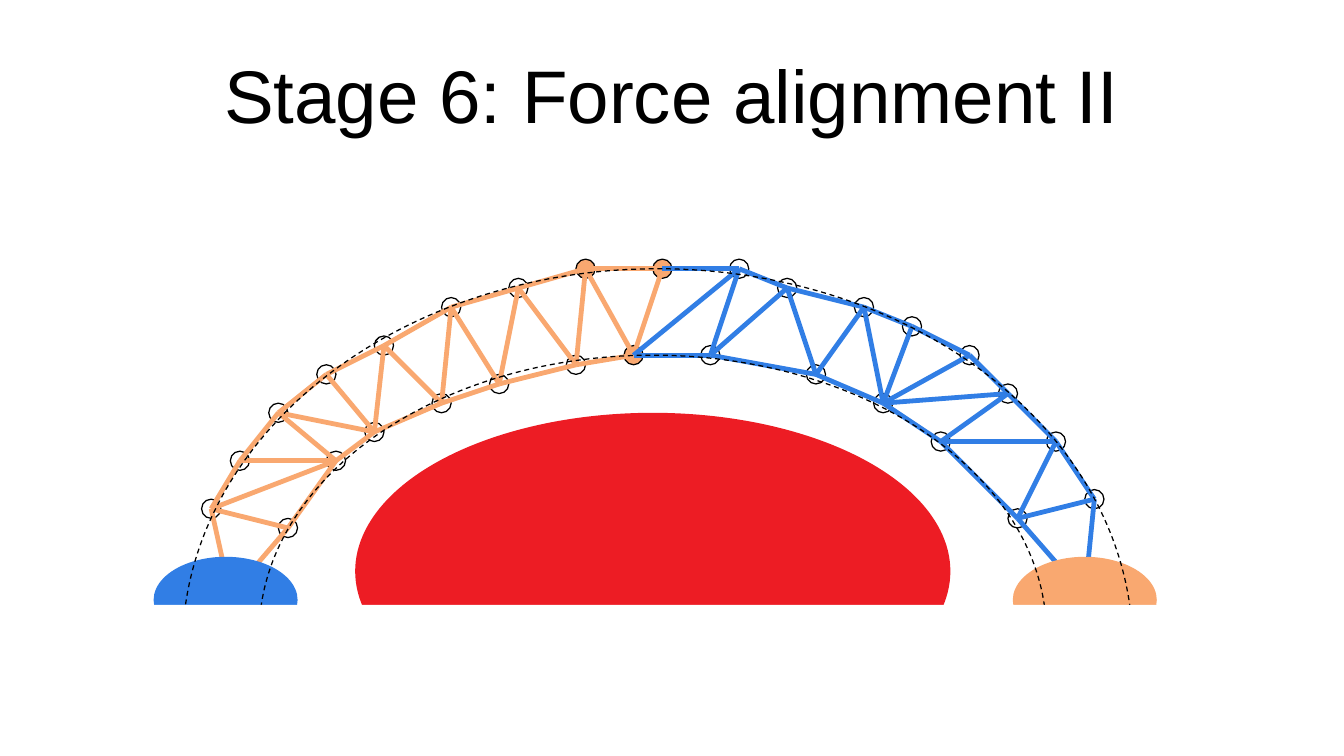
from dataclasses import dataclass
from itertools import pairwise
from typing import Optional

from pptx import Presentation
from pptx import util as u
from pptx.dml.color import RGBColor
from pptx.enum import dml, shapes, text
from pptx.oxml import ns, xmlchemy

BLACK = RGBColor(0x00, 0x00, 0x00)
WHITE = RGBColor(0xFF, 0xFF, 0xFF)
RED = RGBColor(0xED, 0x1C, 0x24)
ORANGE = RGBColor(0xF9, 0xA8, 0x70)
BLUE = RGBColor(0x31, 0x7E, 0xE5)

SLIDE_WIDTH = u.Inches(11.02)
SLIDE_HEIGHT = u.Inches(6.2)
COLUMNS = 140
ROWS = 78.75
JOINT_RADIUS = 1
BEAM_WIDTH = u.Pt(2.83)
HAIRLINE = u.Pt(0)

Point = tuple[float, float]


@dataclass(frozen=True)
class Area:
    left: float
    top: float
    width: float
    height: float

    def box(self) -> tuple[int, int, int, int]:
        return (column(self.left), row(self.top), column(self.width), row(self.height))


@dataclass(frozen=True)
class HalfBridge:
    color: RGBColor
    outer: list[Point]
    inner: list[Point]
    foot: Point
    web: list[Point]
    spurs: list[tuple[Point, Point]]


def column(count: float) -> int:
    return round(SLIDE_WIDTH * count / COLUMNS)


def row(count: float) -> int:
    return round(SLIDE_HEIGHT * count / ROWS)


def add_text(slide, area: Area, content: str, *, size: float, font: str = "Arial",
             color: RGBColor = BLACK, align=text.PP_ALIGN.CENTER) -> None:
    frame = slide.shapes.add_textbox(*area.box()).text_frame
    frame.word_wrap = True
    frame.vertical_anchor = text.MSO_ANCHOR.MIDDLE
    frame.margin_left = frame.margin_right = frame.margin_top = frame.margin_bottom = 0
    paragraph = frame.paragraphs[0]
    paragraph.alignment = align
    run = paragraph.add_run()
    run.text = content
    run.font.size = u.Pt(size)
    run.font.name = font
    run.font.color.rgb = color


def add_figure(slide, area: Area, fill: Optional[RGBColor] = None,
               outline: Optional[RGBColor] = None, dashed: bool = False,
               preset=shapes.MSO_SHAPE.OVAL) -> None:
    shape = slide.shapes.add_shape(preset, *area.box())
    shape.shadow.inherit = False
    if fill is None:
        shape.fill.background()
    else:
        shape.fill.solid()
        shape.fill.fore_color.rgb = fill
    if outline is None:
        shape.line.fill.background()
    else:
        shape.line.color.rgb = outline
        shape.line.width = HAIRLINE
    if dashed:
        shape.line.dash_style = dml.MSO_LINE.DASH


def add_joint(slide, center: Point, fill: RGBColor) -> None:
    x, y = center
    side = 2 * JOINT_RADIUS
    add_figure(slide, Area(x - JOINT_RADIUS, y - JOINT_RADIUS, side, side), fill, BLACK)


def add_beam(slide, start: Point, end: Point, color: RGBColor) -> None:
    connector = slide.shapes.add_connector(
        shapes.MSO_CONNECTOR.STRAIGHT,
        column(start[0]), row(start[1]), column(end[0]), row(end[1]))
    connector.line.color.rgb = color
    connector.line.width = BEAM_WIDTH
    properties = connector._element.spPr
    properties.append(xmlchemy.OxmlElement("a:effectLst"))


def add_half_bridge(slide, half: HalfBridge) -> None:
    chords = ([*half.outer, half.foot], [*half.inner, half.foot], half.web)
    beams = [beam for chord in chords for beam in pairwise(chord)]
    for start, end in beams + half.spurs:
        add_beam(slide, start, end, half.color)


LEFT_OUTER = [(69, 28), (61, 28), (54, 30), (47, 32), (40, 36),
              (34, 39), (29, 43), (25, 48), (22, 53)]
LEFT_INNER = [(66, 37), (60, 38), (52, 40), (46, 42), (39, 45), (35, 48), (30, 55)]
RIGHT_OUTER = [(77, 28), (82, 30), (90, 32), (95, 34), (101, 37),
               (105, 41), (110, 46), (114, 52)]
RIGHT_INNER = [(74, 37), (85, 39), (92, 42), (98, 46), (106, 54)]
CROWN_JOINTS = [LEFT_OUTER[0], LEFT_OUTER[1], LEFT_INNER[0]]


def zigzag(first: list[Point], second: list[Point]) -> list[Point]:
    woven = [point for pair in zip(first, second) for point in pair]
    return woven + first[len(second):]


def without(points: list[Point], *skipped: int) -> list[Point]:
    return [point for index, point in enumerate(points) if index not in skipped]


LEFT_HALF = HalfBridge(
    ORANGE, LEFT_OUTER, LEFT_INNER, (24, 62),
    zigzag(without(LEFT_OUTER, 5, 7), LEFT_INNER),
    [(LEFT_OUTER[5], LEFT_INNER[4]), (LEFT_OUTER[7], LEFT_INNER[5])])

RIGHT_HALF = HalfBridge(
    BLUE, [LEFT_OUTER[0], *RIGHT_OUTER], [LEFT_INNER[0], *RIGHT_INNER], (113, 62),
    zigzag([LEFT_INNER[0], *RIGHT_INNER], without(RIGHT_OUTER, 3, 4)),
    [(RIGHT_INNER[2], RIGHT_OUTER[3]), (RIGHT_INNER[2], RIGHT_OUTER[4])])


def build() -> None:
    presentation = Presentation()
    presentation.slide_width = SLIDE_WIDTH
    presentation.slide_height = SLIDE_HEIGHT
    slide = presentation.slides.add_slide(presentation.slide_layouts[6])

    add_text(slide, Area(7, 3.15, 126, 13.2), "Stage 6: Force alignment II", size=44)
    add_figure(slide, Area(37, 43, 62, 33), RED)

    for center in LEFT_OUTER + LEFT_INNER + RIGHT_OUTER + RIGHT_INNER:
        add_joint(slide, center, ORANGE if center in CROWN_JOINTS else WHITE)
    for half in (LEFT_HALF, RIGHT_HALF):
        add_half_bridge(slide, half)

    add_figure(slide, Area(16, 58, 15, 9), BLUE)
    add_figure(slide, Area(105.5, 58, 15, 9), ORANGE)
    for arch in (Area(27, 37, 82, 58), Area(19, 28, 99, 79)):
        add_figure(slide, arch, outline=BLACK, dashed=True)
    add_figure(slide, Area(7, 63, 131, 26), WHITE, preset=shapes.MSO_SHAPE.RECTANGLE)

    presentation.save("out.pptx")


build()
